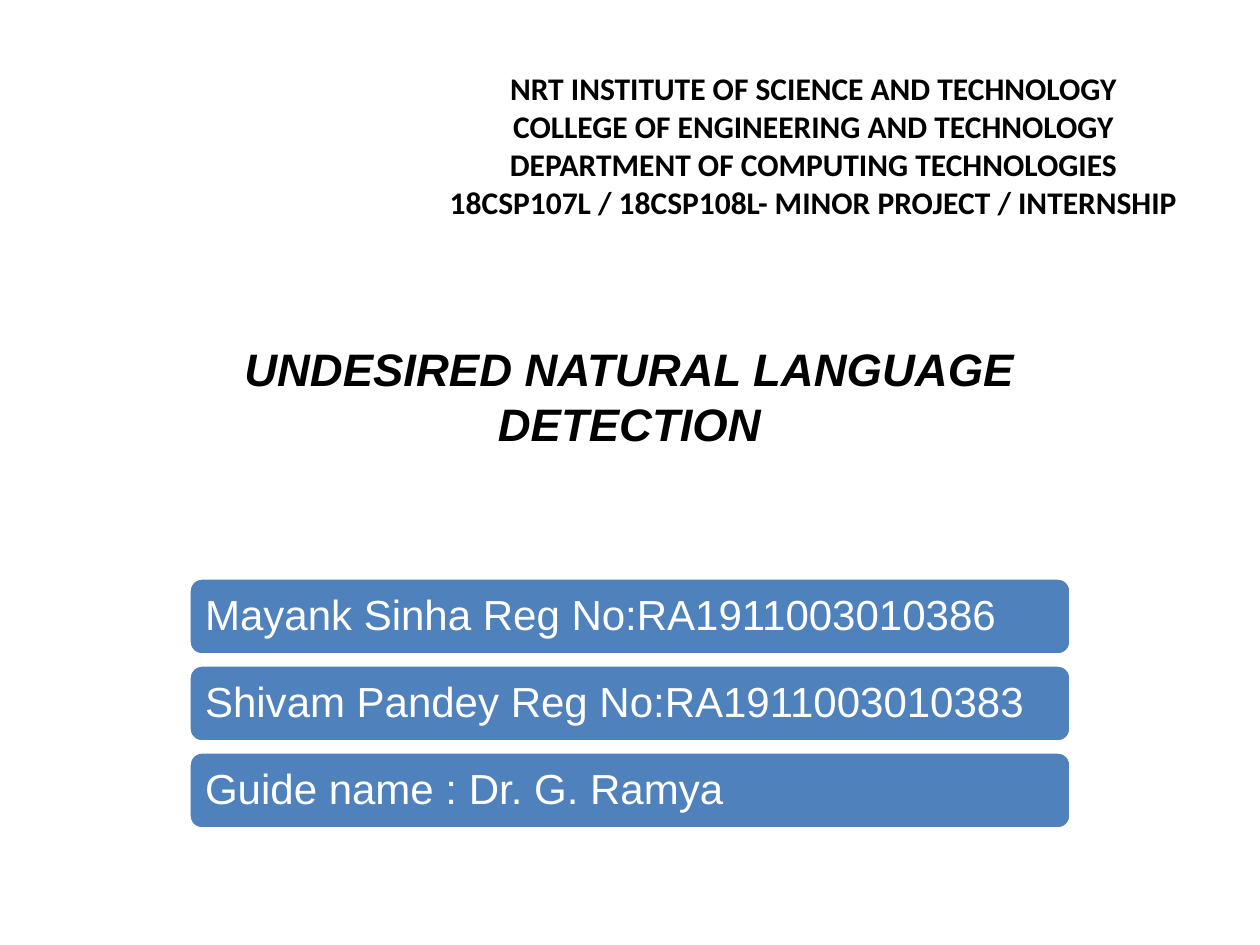
from pptx import Presentation
from pptx.dml.color import RGBColor
from pptx.enum.shapes import MSO_SHAPE
from pptx.enum.text import MSO_ANCHOR, MSO_AUTO_SIZE, PP_ALIGN
from pptx.util import Emu, Inches, Pt

PX = Inches(1) / 126
CENTER, LEFT = PP_ALIGN.CENTER, PP_ALIGN.LEFT
MIDDLE, TOP = MSO_ANCHOR.MIDDLE, MSO_ANCHOR.TOP
NO_AUTOFIT = MSO_AUTO_SIZE.NONE
ROUNDED = MSO_SHAPE.ROUNDED_RECTANGLE
TITLE_ONLY = 5

COLORS = {"ink": "000000", "bar": "4F81BD", "white": "FFFFFF"}
HEADING = [
    "NRT INSTITUTE OF SCIENCE AND TECHNOLOGY",
    "COLLEGE OF ENGINEERING AND TECHNOLOGY",
    "DEPARTMENT OF COMPUTING TECHNOLOGIES",
    "18CSP107L / 18CSP108L- MINOR PROJECT / INTERNSHIP",
]
PEOPLE = [
    "Mayank Sinha Reg No:RA1911003010386",
    "Shivam Pandey Reg No:RA1911003010383",
    "Guide name : Dr. G. Ramya",
]


def px(length):
    return Emu(round(length * PX))


def color(name):
    return RGBColor.from_string(COLORS[name])


def write(frame, lines, font, size, ink, align, anchor, bold=False, italic=False):
    frame.word_wrap = True
    frame.auto_size = NO_AUTOFIT
    frame.vertical_anchor = anchor
    for index, line in enumerate(lines):
        paragraph = frame.paragraphs[0] if index == 0 else frame.add_paragraph()
        paragraph.alignment = align
        run = paragraph.add_run()
        run.text = line
        run.font.name = font
        run.font.size = Pt(size)
        run.font.bold = bold
        run.font.italic = italic
        run.font.color.rgb = color(ink)


def add_title(slide, text):
    title = slide.shapes.title
    title.left, title.top, title.width, title.height = map(px, (94, 294, 1071, 203))
    write(title.text_frame, [text], "Arial", 26, "ink", CENTER, MIDDLE, True, True)


def add_heading(slide, lines):
    heading = slide.shapes.add_textbox(px(388), px(63), px(851), px(165))
    write(heading.text_frame, lines, "Calibri", 18, "ink", CENTER, TOP, True)


def add_person_bar(slide, top, person):
    bar = slide.shapes.add_shape(ROUNDED, px(189), px(top), px(882), px(77))
    bar.shadow.inherit = False
    bar.fill.solid()
    bar.fill.fore_color.rgb = color("bar")
    bar.line.color.rgb = color("white")
    bar.line.width = Pt(2)
    write(bar.text_frame, [person], "Arial", 24, "white", LEFT, MIDDLE)
    bar.text_frame.paragraphs[0].line_spacing = 0.9


def main():
    deck = Presentation()
    deck.slide_width, deck.slide_height = px(1260), px(945)
    slide = deck.slides.add_slide(deck.slide_layouts[TITLE_ONLY])
    add_title(slide, "UNDESIRED NATURAL LANGUAGE DETECTION")
    add_heading(slide, HEADING)
    for row, person in enumerate(PEOPLE):
        add_person_bar(slide, 578 + 87 * row, person)
    deck.save("out.pptx")


if __name__ == "__main__":
    main()
